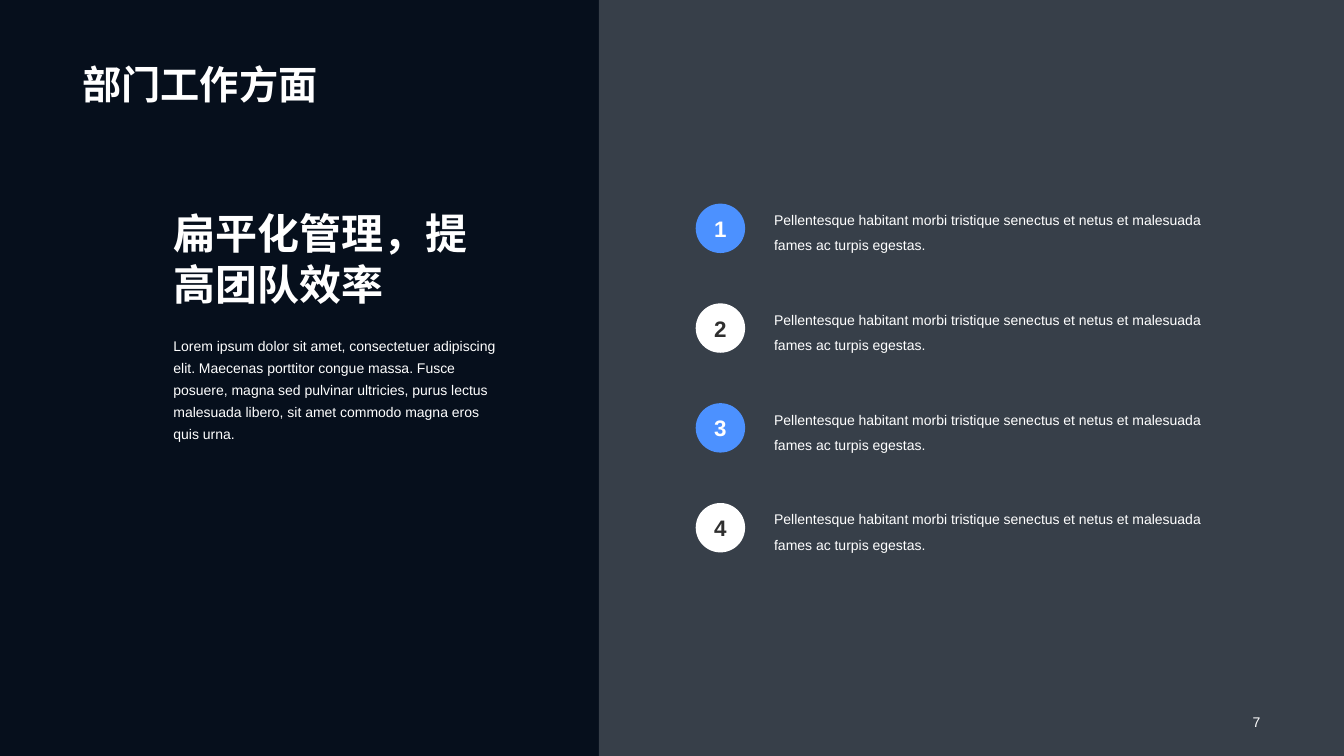
from dataclasses import dataclass
from typing import Any

from lxml.etree import SubElement
from pptx import Presentation
from pptx.dml.color import RGBColor
from pptx.enum.shapes import MSO_SHAPE as Preset
from pptx.enum.text import MSO_ANCHOR as Anchor, MSO_AUTO_SIZE as AutoSize, PP_ALIGN as Align
from pptx.oxml.ns import qn
from pptx.util import Inches, Pt


@dataclass(frozen=True)
class Theme:
    font: str = "Arial"
    background: RGBColor = RGBColor(0x06, 0x0F, 0x1C)
    white: RGBColor = RGBColor(0xFF, 0xFF, 0xFF)
    blue: RGBColor = RGBColor(0x4C, 0x91, 0xFF)
    dark: RGBColor = RGBColor(0x2F, 0x2F, 0x2F)
    panel_opacity: int = 20
    title_size: int = 28
    heading_size: int = 30
    number_size: int = 16
    body_size: int = 10


@dataclass(frozen=True)
class Box:
    left: float
    top: float
    width: float
    height: float

    def lengths(self) -> tuple:
        return tuple(Inches(side) for side in (self.left, self.top, self.width, self.height))


@dataclass(frozen=True)
class TextStyle:
    size: int
    color: RGBColor
    bold: bool = False
    anchor: Any = Anchor.TOP
    align: Any = Align.LEFT
    line_spacing: float = 1.0
    inset: float | None = None
    wrap: bool = True
    auto_size: Any = AutoSize.NONE


@dataclass(frozen=True)
class Point:
    number: int
    text: str
    fill: RGBColor
    number_color: RGBColor


THEME = Theme()
POINT_TEXT = "Pellentesque habitant morbi tristique senectus et netus et malesuada fames ac turpis egestas."
INTRO_TEXT = (
    "Lorem ipsum dolor sit amet, consectetuer adipiscing elit. Maecenas porttitor congue massa. "
    "Fusce posuere, magna sed pulvinar ultricies, purus lectus malesuada libero, "
    "sit amet commodo magna eros quis urna."
)
POINTS = [
    Point(number, POINT_TEXT, *((THEME.blue, THEME.white) if number % 2 else (THEME.white, THEME.dark)))
    for number in range(1, 5)
]
ROW_PITCH = 0.99
SLIDE_WIDTH = 13.33
SLIDE_HEIGHT = 7.5
PANEL_LEFT = 5.94

TITLE = TextStyle(THEME.title_size, THEME.white, bold=True, anchor=Anchor.BOTTOM, line_spacing=0.9)
PAGE_NUMBER = TextStyle(THEME.body_size, THEME.white, anchor=Anchor.MIDDLE, align=Align.RIGHT)
HEADING = TextStyle(THEME.heading_size, THEME.white, bold=True, anchor=Anchor.BOTTOM, inset=0.12,
                    auto_size=AutoSize.SHAPE_TO_FIT_TEXT)
INTRO = TextStyle(THEME.body_size, THEME.white, line_spacing=1.3, inset=0.12,
                  auto_size=AutoSize.SHAPE_TO_FIT_TEXT)
POINT_BODY = TextStyle(THEME.body_size, THEME.white, anchor=Anchor.MIDDLE, line_spacing=1.5,
                       auto_size=AutoSize.SHAPE_TO_FIT_TEXT)


def apply(target: Any, values: dict[str, Any]) -> None:
    for name, value in values.items():
        setattr(target, name, value)


def write_text(shape: Any, text: str, style: TextStyle) -> None:
    frame = shape.text_frame
    apply(frame, {"auto_size": style.auto_size, "word_wrap": style.wrap, "vertical_anchor": style.anchor})
    if style.inset is not None:
        sides = ("margin_left", "margin_top", "margin_right", "margin_bottom")
        apply(frame, dict.fromkeys(sides, Inches(style.inset)))
    paragraph = frame.paragraphs[0]
    apply(paragraph, {"alignment": style.align, "line_spacing": style.line_spacing})
    run = paragraph.add_run()
    run.text = text
    apply(run.font, {"name": THEME.font, "size": Pt(style.size), "bold": style.bold})
    run.font.color.rgb = style.color
    SubElement(run.font._element, qn("a:ea"), typeface=THEME.font)


def add_text(slide: Any, box: Box, text: str, style: TextStyle) -> None:
    write_text(slide.shapes.add_textbox(*box.lengths()), text, style)


def add_filled(slide: Any, preset: Any, box: Box, color: RGBColor) -> Any:
    shape = slide.shapes.add_shape(preset, *box.lengths())
    shape.shadow.inherit = False
    shape.fill.solid()
    shape.fill.fore_color.rgb = color
    shape.line.fill.background()
    return shape


def add_panel(slide: Any) -> None:
    box = Box(PANEL_LEFT, 0, SLIDE_WIDTH - PANEL_LEFT, SLIDE_HEIGHT)
    panel = add_filled(slide, Preset.RECTANGLE, box, THEME.white)
    color = panel.fill._xPr.find(qn("a:solidFill"))[0]
    SubElement(color, qn("a:alpha"), val=str(THEME.panel_opacity * 1000))


def add_point(slide: Any, point: Point) -> None:
    offset = (point.number - 1) * ROW_PITCH
    add_text(slide, Box(7.58, 1.98 + offset, 4.84, 0.57), point.text, POINT_BODY)
    badge = add_filled(slide, Preset.OVAL, Box(6.9, 2.02 + offset, 0.49, 0.49), point.fill)
    style = TextStyle(THEME.number_size, point.number_color, bold=True, anchor=Anchor.MIDDLE,
                      align=Align.CENTER, inset=0.12, wrap=False)
    write_text(badge, str(point.number), style)


def main() -> None:
    presentation = Presentation()
    apply(presentation, {"slide_width": Inches(SLIDE_WIDTH), "slide_height": Inches(SLIDE_HEIGHT)})
    slide = presentation.slides.add_slide(presentation.slide_layouts[6])
    slide.background.fill.solid()
    slide.background.fill.fore_color.rgb = THEME.background

    add_text(slide, Box(0.72, 0, 11.88, 1.12), "部门工作方面", TITLE)
    add_text(slide, Box(9.69, 7.04, 2.91, 0.24), "7", PAGE_NUMBER)
    add_panel(slide)
    for point in POINTS:
        add_point(slide, point)
    add_text(slide, Box(1.6, 3.18, 3.45, 1.31), INTRO_TEXT, INTRO)
    add_text(slide, Box(1.6, 1.93, 3.45, 1.25), "扁平化管理，提高团队效率", HEADING)

    presentation.save("out.pptx")


if __name__ == "__main__":
    main()
